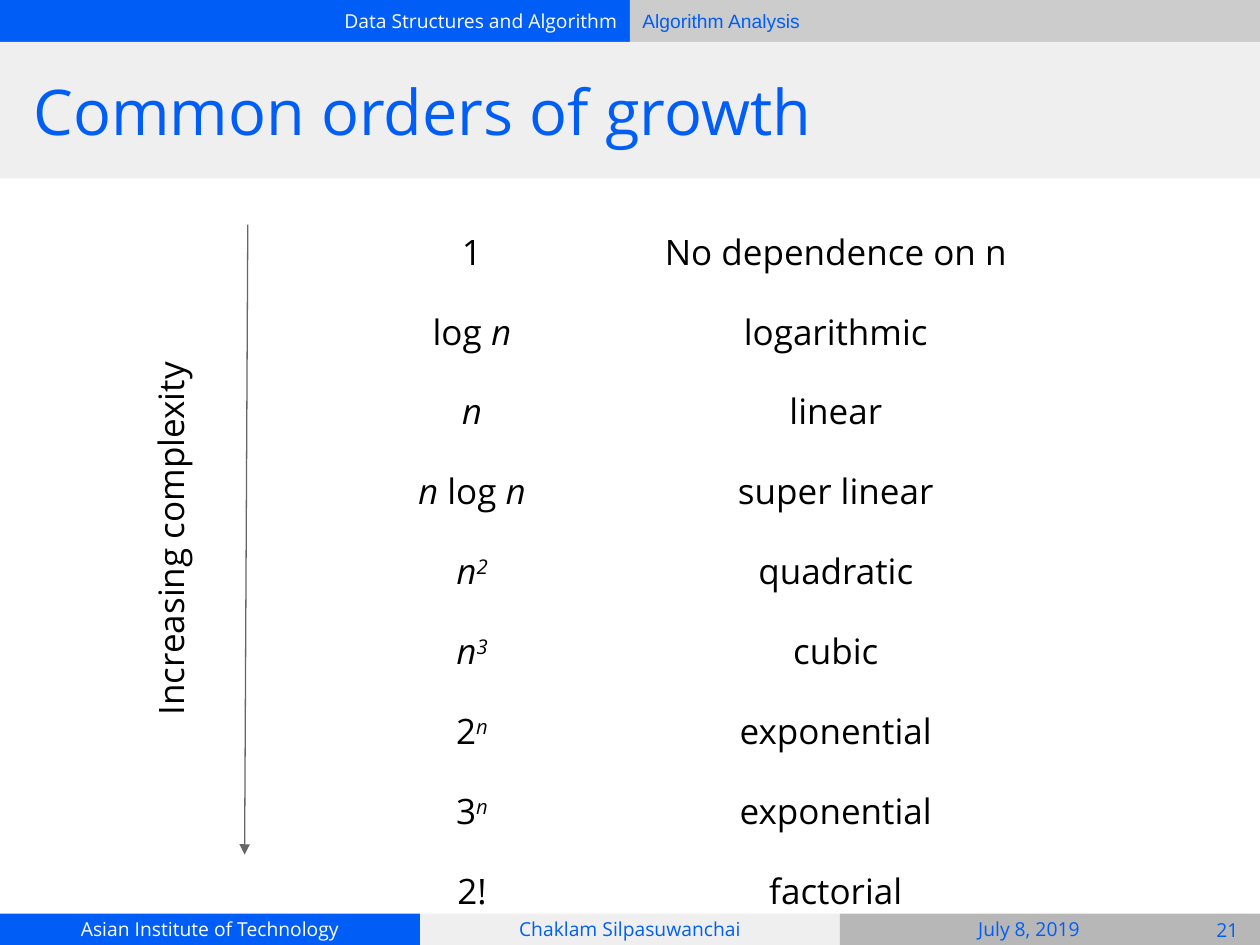
import dataclasses
import typing

import lxml.etree
import pptx
import pptx.dml.color
import pptx.enum.shapes
import pptx.enum.text
import pptx.oxml.ns
import pptx.util

RGB = pptx.dml.color.RGBColor
ALIGN = pptx.enum.text.PP_ALIGN
ANCHOR = pptx.enum.text.MSO_ANCHOR
qn = pptx.oxml.ns.qn

BLUE = RGB(0x00, 0x5E, 0xF6)
WHITE = RGB(0xFF, 0xFF, 0xFF)
BLACK = RGB(0x00, 0x00, 0x00)
PALE = RGB(0xEF, 0xEF, 0xEF)
SILVER = RGB(0xCC, 0xCC, 0xCC)
GREY = RGB(0xB7, 0xB7, 0xB7)
DARK = RGB(0x66, 0x66, 0x66)

FONT = "Open Sans"
PLAIN = "{2D5ABB26-0587-4C30-8999-92F81FD0307C}"  # table style without lines
INSET = pptx.util.Inches(0.1)

# The slide is a grid of 12 columns and 90 rows
WIDE = pptx.util.Inches(10)
HIGH = pptx.util.Inches(7.5)


def col(n: float) -> int:
    return round(WIDE * n / 12)


def row(n: float) -> int:
    return round(HIGH * n / 90)


@dataclasses.dataclass
class Box:
    """A text area placed in grid columns and rows, with or without a fill."""
    left: float
    top: float
    width: float
    height: float
    text: str = ""
    fill: typing.Optional[RGB] = None
    color: RGB = BLUE
    size: float = 11
    font: str = FONT
    align: ALIGN = ALIGN.CENTER
    anchor: ANCHOR = ANCHOR.MIDDLE
    turn: float = 0


class Bit(typing.NamedTuple):
    """A piece of a formula."""
    text: str
    italic: bool = False
    raised: bool = False


class Order(typing.NamedTuple):
    bits: list[Bit]
    name: str


N = Bit("n", italic=True)
POWER = Bit("n", italic=True, raised=True)

ORDERS = [
    Order([Bit("1")], "No dependence on n"),
    Order([Bit("log "), N], "logarithmic"),
    Order([N], "linear"),
    Order([N, Bit(" log "), N], "super linear"),
    Order([N, Bit("2", True, True)], "quadratic"),
    Order([N, Bit("3", True, True)], "cubic"),
    Order([Bit("2"), POWER], "exponential"),
    Order([Bit("3"), POWER], "exponential"),
    Order([Bit("2!")], "factorial"),
]

BOXES = [
    # Top bar
    Box(0, 0, 6, 4, "Data Structures and Algorithm", BLUE, WHITE, align=ALIGN.RIGHT),
    Box(6, 0, 6, 4, "Algorithm Analysis", SILVER, font="Arial", align=ALIGN.LEFT),
    # Footer
    Box(0, 87, 4, 3, "Asian Institute of Technology", BLUE, WHITE),
    Box(4, 87, 4, 3, "Chaklam Silpasuwanchai", PALE),
    Box(8, 87, 4, 3, fill=GREY),
    Box(8.1, 87, 3.4, 3, "July 8, 2019"),
    Box(11.38, 87.1, 0.62, 2.9, "21"),
    # Title
    Box(0, 4, 12, 13, fill=PALE),
    Box(0.2, 4, 11.6, 13, "Common orders of growth", size=36, align=ALIGN.LEFT),
    # Label beside the arrow
    Box(-1.39, 48.2, 6, 6.2, "Increasing complexity", color=BLACK, size=20,
        anchor=ANCHOR.TOP, turn=270),
]


def style(item: typing.Any, form: dict[str, typing.Any]) -> None:
    for key, value in form.items():
        setattr(item, key, value)


def draw_box(slide: typing.Any, box: Box) -> None:
    place = col(box.left), row(box.top), col(box.width), row(box.height)
    if box.fill is None:
        shape = slide.shapes.add_textbox(*place)
    else:
        shape = slide.shapes.add_shape(pptx.enum.shapes.MSO_SHAPE.RECTANGLE, *place)
        shape.shadow.inherit = False
        shape.fill.solid()
        shape.fill.fore_color.rgb = box.fill
        shape.line.fill.background()
    shape.rotation = box.turn
    if not box.text:
        return
    frame = shape.text_frame
    sides = ("left", "top", "right", "bottom")
    style(frame, {f"margin_{side}": INSET for side in sides})
    style(frame, {"word_wrap": True, "vertical_anchor": box.anchor})
    para = frame.paragraphs[0]
    para.alignment = box.align
    write(para, Bit(box.text), box.size, box.color, box.font)


def write(para: typing.Any, bit: Bit, size: float, color: RGB, font: str = FONT) -> None:
    run = para.add_run()
    run.text = bit.text
    style(run.font, {"name": font, "size": pptx.util.Pt(size), "italic": bit.italic})
    run.font.color.rgb = color
    if bit.raised:
        run.font._element.set("baseline", "30000")


def draw_table(slide: typing.Any, orders: list[Order]) -> None:
    widths, step = (3.25, 3.68), 7.62
    table = slide.shapes.add_table(
        len(orders), len(widths), col(2.87), row(19.8),
        col(sum(widths)), row(step * len(orders))).table
    style(table, {"first_row": False, "horz_banding": False})
    table._tbl.tblPr.find(qn("a:tableStyleId")).text = PLAIN
    for column, width in zip(table.columns, widths):
        column.width = col(width)
    for line, order in zip(table.rows, orders):
        line.height = row(step)
        for cell, bits in zip(line.cells, (order.bits, [Bit(order.name)])):
            cell.fill.background()
            style(cell, {f"margin_{side}": INSET
                         for side in ("left", "top", "right", "bottom")})
            para = cell.text_frame.paragraphs[0]
            style(para, {"alignment": ALIGN.CENTER, "line_spacing": 1.15})
            for bit in bits:
                write(para, bit, 20, BLACK)


def draw_arrow(slide: typing.Any) -> None:
    arrow = slide.shapes.add_connector(
        pptx.enum.shapes.MSO_CONNECTOR.STRAIGHT,
        col(2.36), row(21.4), col(2.33), row(81.4))
    arrow.line.width = pptx.util.Pt(0.75)
    arrow.line.color.rgb = DARK
    props = arrow._element.spPr
    lxml.etree.SubElement(props.find(qn("a:ln")), qn("a:tailEnd"), type="triangle")
    lxml.etree.SubElement(props, qn("a:effectLst"))


def main() -> None:
    deck = pptx.Presentation()
    style(deck, {"slide_width": WIDE, "slide_height": HIGH})
    slide = deck.slides.add_slide(deck.slide_layouts[6])
    for box in BOXES:
        draw_box(slide, box)
    draw_table(slide, ORDERS)
    draw_arrow(slide)
    deck.save("out.pptx")


if __name__ == "__main__":
    main()
